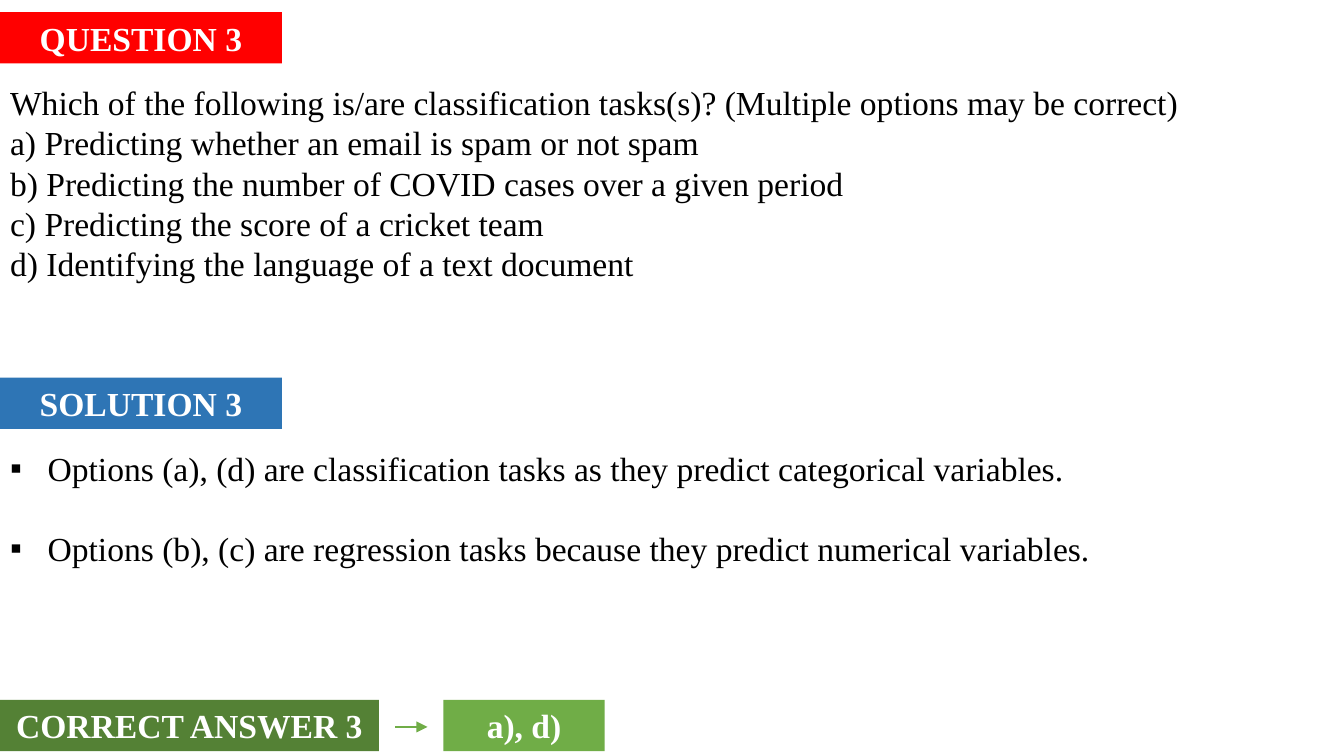
"""Build a quiz slide with a question, its solution and the correct answer."""
from dataclasses import dataclass

import pptx
import pptx.dml.color
import pptx.enum.shapes
import pptx.enum.text
import pptx.oxml.ns
import pptx.util
from lxml import etree
from pptx.util import Cm


@dataclass(frozen=True)
class Theme:
    font: str = "Times New Roman"
    size: int = 18
    text: str = "000000"
    label_text: str = "FFFFFF"
    question: str = "FF0000"
    solution: str = "2E75B5"
    answer: str = "548135"
    choice: str = "70AD47"
    arrow_width: float = 1.5


theme = Theme()
rgb = pptx.dml.color.RGBColor.from_string
qn = pptx.oxml.ns.qn


def place(shape, left, top, width, height, anchor):
    """Position a shape and give its text frame the common margins."""
    shape.left, shape.top, shape.width, shape.height = Cm(left), Cm(top), Cm(width), Cm(height)
    frame = shape.text_frame
    frame.margin_left = frame.margin_right = Cm(0.19)
    frame.margin_top = frame.margin_bottom = Cm(0.1)
    frame.word_wrap = True
    frame.auto_size = pptx.enum.text.MSO_AUTO_SIZE.NONE
    frame.vertical_anchor = anchor
    return frame


def write(paragraph, text, color, bold=False):
    """Add one run in the slide's font."""
    run = paragraph.add_run()
    run.text = text
    run.font.name = theme.font
    run.font.size = pptx.util.Pt(theme.size)
    run.font.bold = bold
    run.font.color.rgb = rgb(color)


deck = pptx.Presentation()
deck.slide_width, deck.slide_height = Cm(25.4), Cm(14.29)
slide = deck.slides.add_slide(deck.slide_layouts[3])
heading, question_body, solution_body = slide.placeholders

labels = [
    ("QUESTION 3", 0, 0.23, 5.33, theme.question),
    ("SOLUTION 3", 0, 7.14, 5.33, theme.solution),
    ("CORRECT ANSWER 3", 0, 13.23, 7.16, theme.answer),
    ("a), d)", 8.38, 13.23, 3.05, theme.choice),
]
for index, (wording, left, top, width, fill) in enumerate(labels):
    if index == 0:
        label = heading
    else:
        label = slide.shapes.add_shape(
            pptx.enum.shapes.MSO_SHAPE.RECTANGLE, Cm(left), Cm(top), Cm(width), Cm(0.97))
        label.shadow.inherit = False
    label.fill.solid()
    label.fill.fore_color.rgb = rgb(fill)
    label.line.fill.background()
    frame = place(label, left, top, width, 0.97, pptx.enum.text.MSO_ANCHOR.MIDDLE)
    frame.paragraphs[0].alignment = pptx.enum.text.PP_ALIGN.CENTER
    write(frame.paragraphs[0], wording, theme.label_text, bold=True)

question_lines = [
    "Which of the following is/are classification tasks(s)? (Multiple options may be correct)",
    "a) Predicting whether an email is spam or not spam",
    "b) Predicting the number of COVID cases over a given period",
    "c) Predicting the score of a cricket team",
    "d) Identifying the language of a text document",
]
solution_points = [
    "Options (a), (d) are classification tasks as they predict categorical variables.",
    "Options (b), (c) are regression tasks because they predict numerical variables.",
]
bodies = [
    (question_body, question_lines, 1.45, 4.04, None, 0, 0),
    (solution_body, solution_points, 8.36, 2.49, "▪", 0.71, 0.76),
]
for body, lines, top, height, bullet, indent, gap in bodies:
    frame = place(body, 0, top, 24.54, height, pptx.enum.text.MSO_ANCHOR.TOP)
    for index, line in enumerate(lines):
        paragraph = frame.add_paragraph() if index else frame.paragraphs[0]
        paragraph.space_before = Cm(gap if index else 0)
        properties = paragraph._p.get_or_add_pPr()
        properties.set("marL", str(Cm(indent)))
        properties.set("indent", str(-Cm(indent)))
        if bullet:
            bullet_color = etree.SubElement(properties, qn("a:buClr"))
            etree.SubElement(bullet_color, qn("a:srgbClr"), val=theme.text)
            etree.SubElement(properties, qn("a:buFont"), typeface=theme.font)
            etree.SubElement(properties, qn("a:buChar"), char=bullet)
        else:
            etree.SubElement(properties, qn("a:buNone"))
        write(paragraph, line, theme.text)

answer_arrow = slide.shapes.add_connector(
    pptx.enum.shapes.MSO_CONNECTOR.STRAIGHT, Cm(7.47), Cm(13.74), Cm(8.08), Cm(13.74))
answer_arrow.line.color.rgb = rgb(theme.choice)
answer_arrow.line.width = pptx.util.Pt(theme.arrow_width)
arrow_properties = answer_arrow._element.spPr
etree.SubElement(arrow_properties.find(qn("a:ln")), qn("a:tailEnd"), type="triangle")
etree.SubElement(arrow_properties, qn("a:effectLst"))

deck.save("out.pptx")
